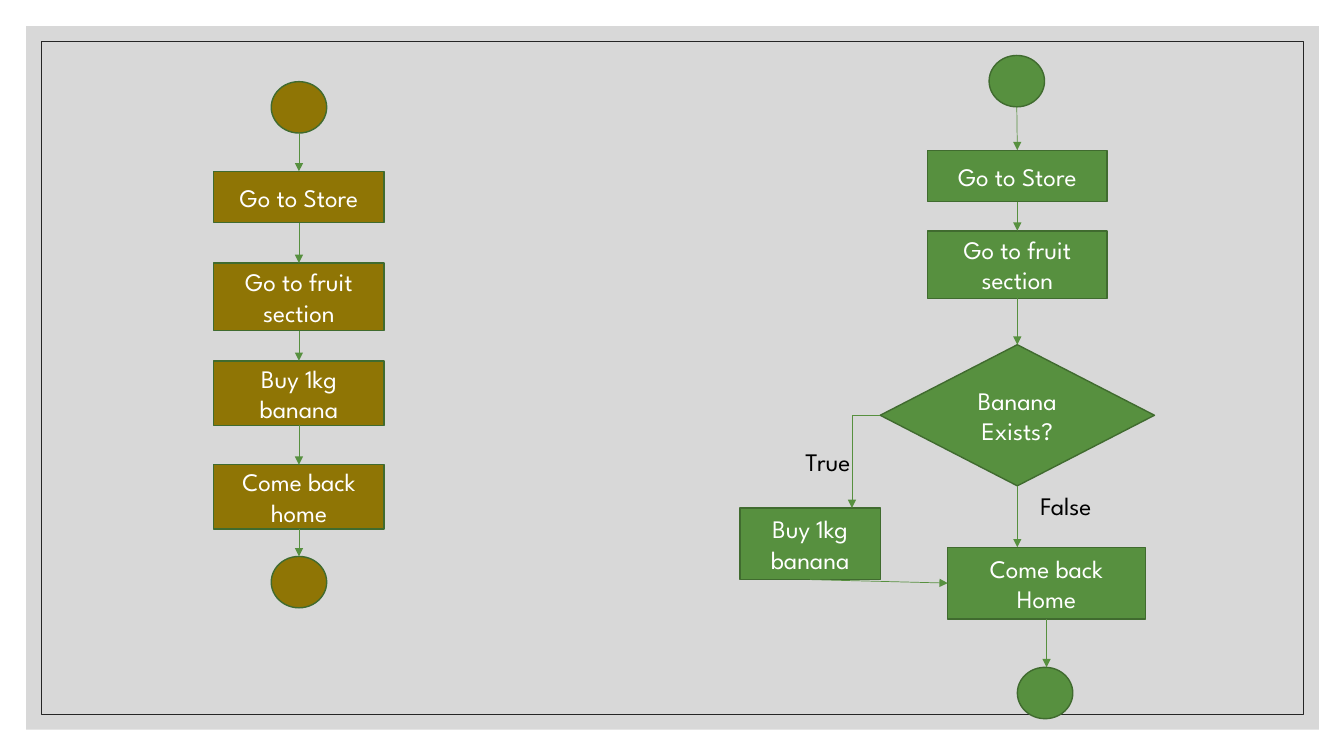
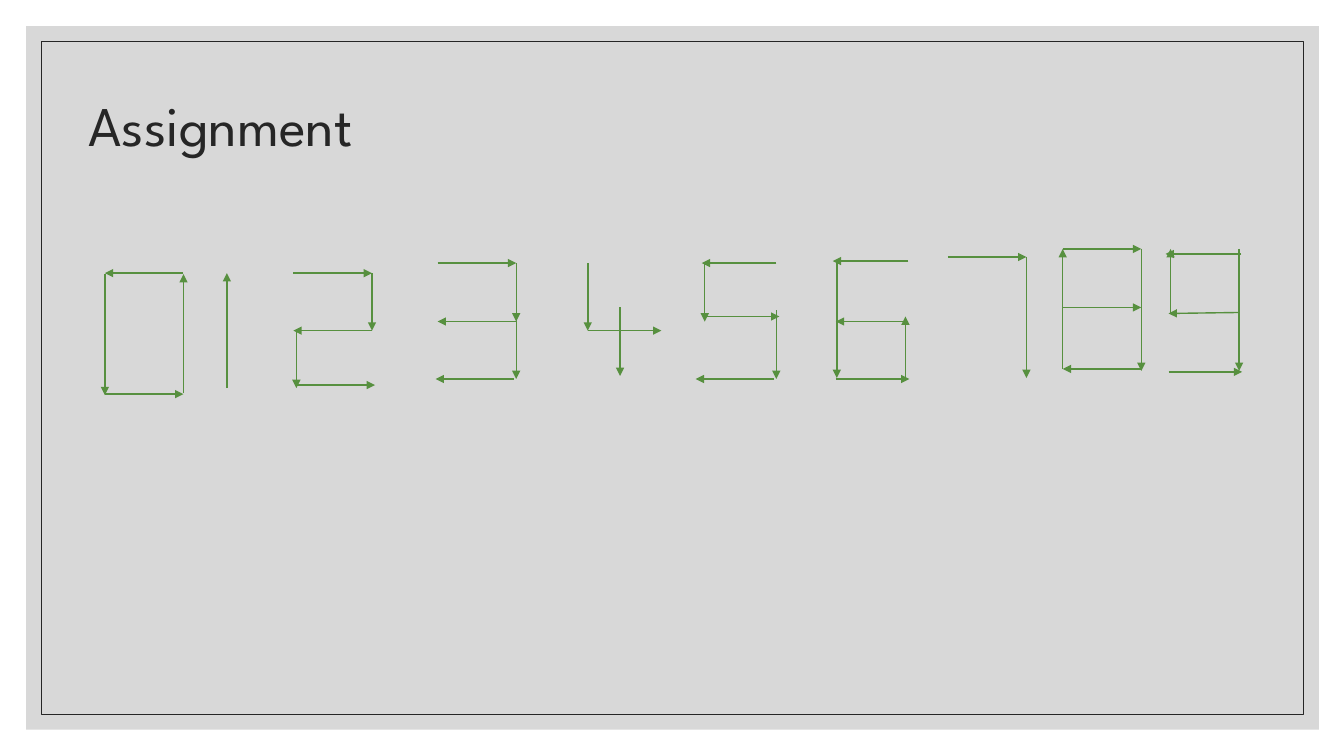
from dataclasses import dataclass
from itertools import pairwise
from typing import Optional

from lxml.etree import SubElement
from pptx import Presentation
from pptx.dml.color import RGBColor
from pptx.enum.shapes import MSO_CONNECTOR as LINK, MSO_SHAPE as SHAPE
from pptx.enum.text import MSO_ANCHOR as ANCHOR, PP_ALIGN as ALIGN
from pptx.oxml.ns import qn
from pptx.shapes.autoshape import Shape
from pptx.shapes.connector import Connector
from pptx.slide import Slide
from pptx.util import Inches, Pt

FONT = "League Spartan"
WHITE = RGBColor(0xFF, 0xFF, 0xFF)
BLACK = RGBColor(0x00, 0x00, 0x00)
INK = RGBColor(0x26, 0x26, 0x26)
PANEL_GREY = RGBColor(0xBF, 0xBF, 0xBF)
GREEN = RGBColor(0x57, 0x90, 0x3F)
DARK_GREEN = RGBColor(0x40, 0x6B, 0x2F)
OCHRE = RGBColor(0x8F, 0x75, 0x05)

TOP, LEFT, BOTTOM = 0, 1, 2
FLOW_WEIGHT, STROKE_WEIGHT = 0.5, 1
CIRCLE_WIDTH, CIRCLE_HEIGHT = 0.55, 0.51


@dataclass(frozen=True)
class Step:
    """A flowchart node; one without text is a start or end circle."""
    left: float
    top: float
    width: float = CIRCLE_WIDTH
    height: float = CIRCLE_HEIGHT
    text: str = ""
    kind: SHAPE = SHAPE.RECTANGLE


@dataclass(frozen=True)
class Stroke:
    x1: float
    y1: float
    x2: float
    y2: float


SIMPLE_FLOW = (
    Step(2.69, 0.81),
    Step(2.12, 1.7, 1.69, 0.51, "Go to Store"),
    Step(2.12, 2.61, 1.69, 0.67, "Go to fruit section"),
    Step(2.12, 3.58, 1.69, 0.64, "Buy 1kg banana"),
    Step(2.12, 4.61, 1.69, 0.64, "Come back home"),
    Step(2.69, 5.52),
)
CHECKED_FLOW = (
    Step(9.81, 0.55),
    Step(9.2, 1.49, 1.78, 0.51, "Go to Store"),
    Step(9.2, 2.29, 1.78, 0.67, "Go to fruit section"),
    Step(8.73, 3.42, 2.72, 1.4, "Banana\nExists?", SHAPE.DIAMOND),
)
BUY = Step(7.34, 5.04, 1.39, 0.71, "Buy 1kg banana")
RETURN_HOME = Step(9.4, 5.43, 1.96, 0.71, "Come back\vHome")
FINISH = Step(10.09, 6.62)

DIGIT_STROKES = {
    0: (Stroke(1.04, 3.91, 1.82, 3.91), Stroke(1.04, 2.72, 1.04, 3.92),
        Stroke(1.82, 2.71, 1.04, 2.71), Stroke(1.82, 3.9, 1.82, 2.72)),
    1: (Stroke(2.25, 3.85, 2.25, 2.71),),
    2: (Stroke(2.91, 2.71, 3.69, 2.71), Stroke(3.69, 2.71, 3.69, 3.28),
        Stroke(3.69, 3.28, 2.91, 3.28), Stroke(2.94, 3.28, 2.94, 3.85),
        Stroke(2.94, 3.82, 3.72, 3.82)),
    3: (Stroke(4.34, 2.61, 5.12, 2.61), Stroke(5.12, 2.61, 5.12, 3.19),
        Stroke(5.12, 3.19, 4.34, 3.19), Stroke(5.1, 3.76, 4.32, 3.76),
        Stroke(5.12, 3.08, 5.12, 3.76)),
    4: (Stroke(5.83, 2.61, 5.83, 3.28), Stroke(5.83, 3.28, 6.56, 3.28),
        Stroke(6.15, 3.05, 6.15, 3.73)),
    5: (Stroke(7.7, 2.61, 6.96, 2.61), Stroke(6.99, 2.61, 6.99, 3.19),
        Stroke(7.68, 3.76, 6.9, 3.76), Stroke(7.7, 3.08, 7.7, 3.76),
        Stroke(7, 3.14, 7.73, 3.14)),
    6: (Stroke(9.01, 2.59, 8.26, 2.59), Stroke(8.3, 2.59, 8.3, 3.75),
        Stroke(8.29, 3.76, 9.02, 3.76), Stroke(9.01, 3.19, 8.29, 3.19),
        Stroke(8.98, 3.78, 8.98, 3.14)),
    7: (Stroke(9.4, 2.55, 10.18, 2.55), Stroke(10.18, 2.55, 10.18, 3.75)),
    8: (Stroke(10.54, 2.47, 11.32, 2.47), Stroke(11.32, 2.47, 11.32, 3.68),
        Stroke(11.32, 3.66, 10.54, 3.66), Stroke(10.54, 3.66, 10.54, 2.47),
        Stroke(10.54, 3.05, 11.32, 3.05)),
    9: (Stroke(12.31, 2.52, 11.56, 2.52), Stroke(11.59, 3.69, 12.32, 3.69),
        Stroke(12.29, 3.1, 11.59, 3.11), Stroke(11.61, 3.11, 11.61, 2.47),
        Stroke(12.29, 2.47, 12.29, 3.68)),
}


def write(shape: Shape, text: str, *, size: float = 18, color: RGBColor = BLACK,
          align: ALIGN = ALIGN.LEFT, anchor: ANCHOR = ANCHOR.TOP,
          spacing: Optional[float] = None) -> None:
    frame = shape.text_frame
    frame.word_wrap = True
    frame.vertical_anchor = anchor
    frame.text = text
    for paragraph in frame.paragraphs:
        paragraph.alignment = align
        paragraph.line_spacing = spacing
        for run in paragraph.runs:
            run.font.name = FONT
            run.font.size = Pt(size)
            run.font.color.rgb = color


def add_label(slide: Slide, text: str, left: float, top: float,
              width: float, height: float, **style) -> None:
    box = slide.shapes.add_textbox(Inches(left), Inches(top),
                                   Inches(width), Inches(height))
    write(box, text, **style)


def add_block(slide: Slide, kind: SHAPE, left: float, top: float,
              width: float, height: float, *, fill: Optional[RGBColor] = None,
              line: Optional[RGBColor] = None, weight: float = 1) -> Shape:
    shape = slide.shapes.add_shape(kind, Inches(left), Inches(top),
                                   Inches(width), Inches(height))
    shape.shadow.inherit = False
    if fill is None:
        shape.fill.background()
    else:
        shape.fill.solid()
        shape.fill.fore_color.rgb = fill
    if line is None:
        shape.line.fill.background()
    else:
        shape.line.color.rgb = line
        shape.line.width = Pt(weight)
    return shape


def add_step(slide: Slide, step: Step, fill: RGBColor) -> Shape:
    kind = step.kind if step.text else SHAPE.OVAL
    shape = add_block(slide, kind, step.left, step.top, step.width, step.height,
                      fill=fill, line=DARK_GREEN)
    if step.text:
        write(shape, step.text, color=WHITE, align=ALIGN.CENTER,
              anchor=ANCHOR.MIDDLE)
    return shape


def add_arrow(slide: Slide, stroke: Stroke, weight: float,
              kind: LINK = LINK.STRAIGHT) -> Connector:
    arrow = slide.shapes.add_connector(kind, Inches(stroke.x1), Inches(stroke.y1),
                                       Inches(stroke.x2), Inches(stroke.y2))
    arrow.line.color.rgb = GREEN
    arrow.line.width = Pt(weight)
    properties = arrow.element.spPr
    SubElement(properties.find(qn("a:ln")), qn("a:tailEnd"), type="triangle")
    SubElement(properties, qn("a:effectLst"))
    return arrow


def add_flow(slide: Slide, steps: tuple[Step, ...], fill: RGBColor) -> list[Shape]:
    """Draw the steps and join each to the next; return their shapes."""
    shapes = [add_step(slide, step, fill) for step in steps]
    for (upper, lower), (source, target) in zip(pairwise(steps), pairwise(shapes)):
        middle = upper.left + upper.width / 2
        arrow = add_arrow(slide, Stroke(middle, upper.top + upper.height,
                                        middle, lower.top), FLOW_WEIGHT)
        if upper.text:
            arrow.begin_connect(source, BOTTOM)
        if lower.text:
            arrow.end_connect(target, TOP)
    return shapes


def add_framed_slide(deck: Presentation) -> Slide:
    slide = deck.slides.add_slide(deck.slide_layouts[6])
    panel = add_block(slide, SHAPE.RECTANGLE, 0.26, 0.26, 12.82, 6.98,
                      fill=PANEL_GREY)
    tint = panel.element.spPr.find(qn("a:solidFill")).find(qn("a:srgbClr"))
    SubElement(tint, qn("a:alpha"), val="60000")
    add_block(slide, SHAPE.RECTANGLE, 0.41, 0.41, 12.52, 6.68, line=INK, weight=0.5)
    return slide


def build_flowcharts(deck: Presentation) -> None:
    slide = add_framed_slide(deck)
    add_flow(slide, SIMPLE_FLOW, OCHRE)

    decision = add_flow(slide, CHECKED_FLOW, GREEN)[-1]
    buy = add_step(slide, BUY, GREEN)
    home, _ = add_flow(slide, (RETURN_HOME, FINISH), GREEN)

    true_branch = add_arrow(slide, Stroke(8.73, 4.12, 8.45, 5.04), FLOW_WEIGHT,
                            LINK.ELBOW)
    true_branch.element.spPr.find(qn("a:prstGeom")).set("prst", "bentConnector2")
    false_branch = add_arrow(slide, Stroke(10.09, 4.82, 10.09, 5.43), FLOW_WEIGHT)
    false_branch.begin_connect(decision, BOTTOM)
    rejoin = add_arrow(slide, Stroke(8.04, 5.75, 9.4, 5.79), FLOW_WEIGHT)
    rejoin.begin_connect(buy, BOTTOM)
    rejoin.end_connect(home, LEFT)

    add_label(slide, "True", 7.89, 4.38, 0.97, 0.4)
    add_label(slide, "False", 10.22, 4.82, 0.97, 0.4)


def build_assignment(deck: Presentation) -> None:
    slide = add_framed_slide(deck)
    add_label(slide, "Assignment", 0.78, 0.52, 11, 1.5, size=40, color=INK,
              anchor=ANCHOR.MIDDLE, spacing=0.9)
    for strokes in DIGIT_STROKES.values():
        for stroke in strokes:
            add_arrow(slide, stroke, STROKE_WEIGHT)


def main() -> None:
    deck = Presentation()
    deck.slide_width, deck.slide_height = Inches(13.33), Inches(7.5)
    build_flowcharts(deck)
    build_assignment(deck)
    deck.save("out.pptx")


if __name__ == "__main__":
    main()
